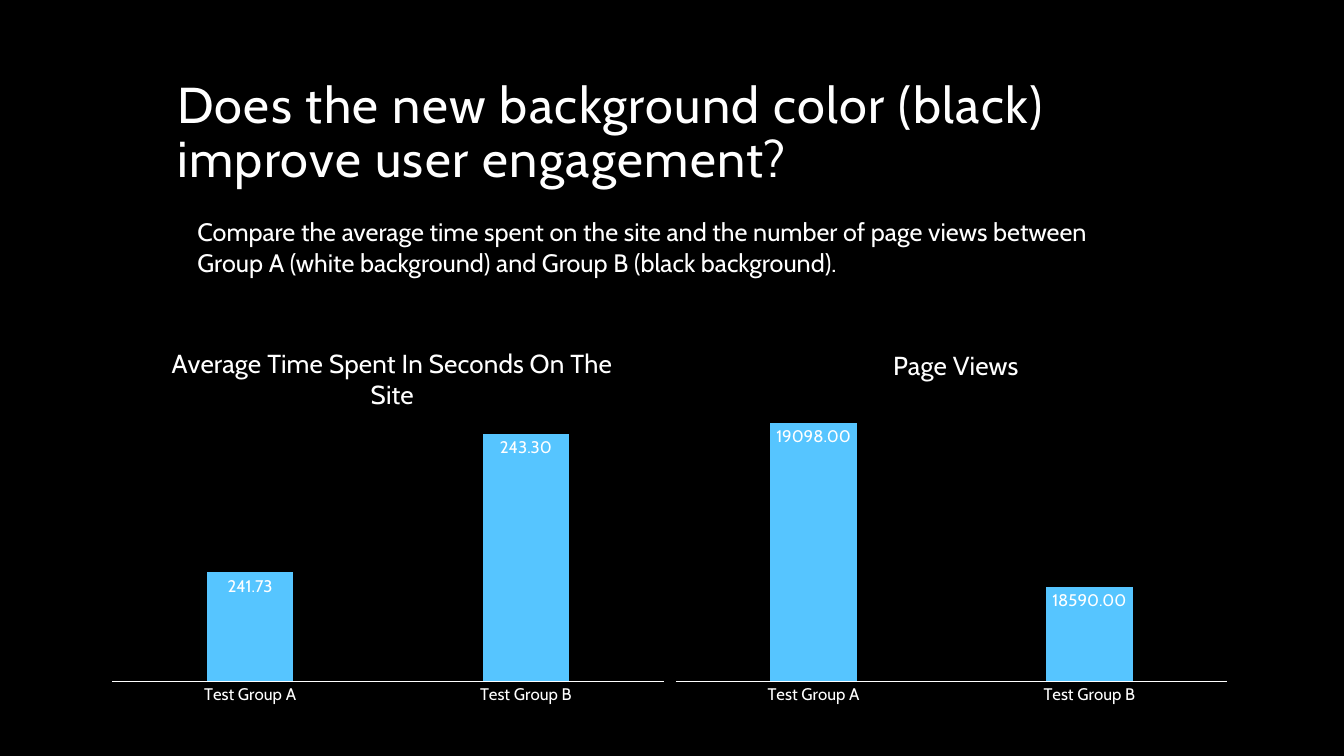
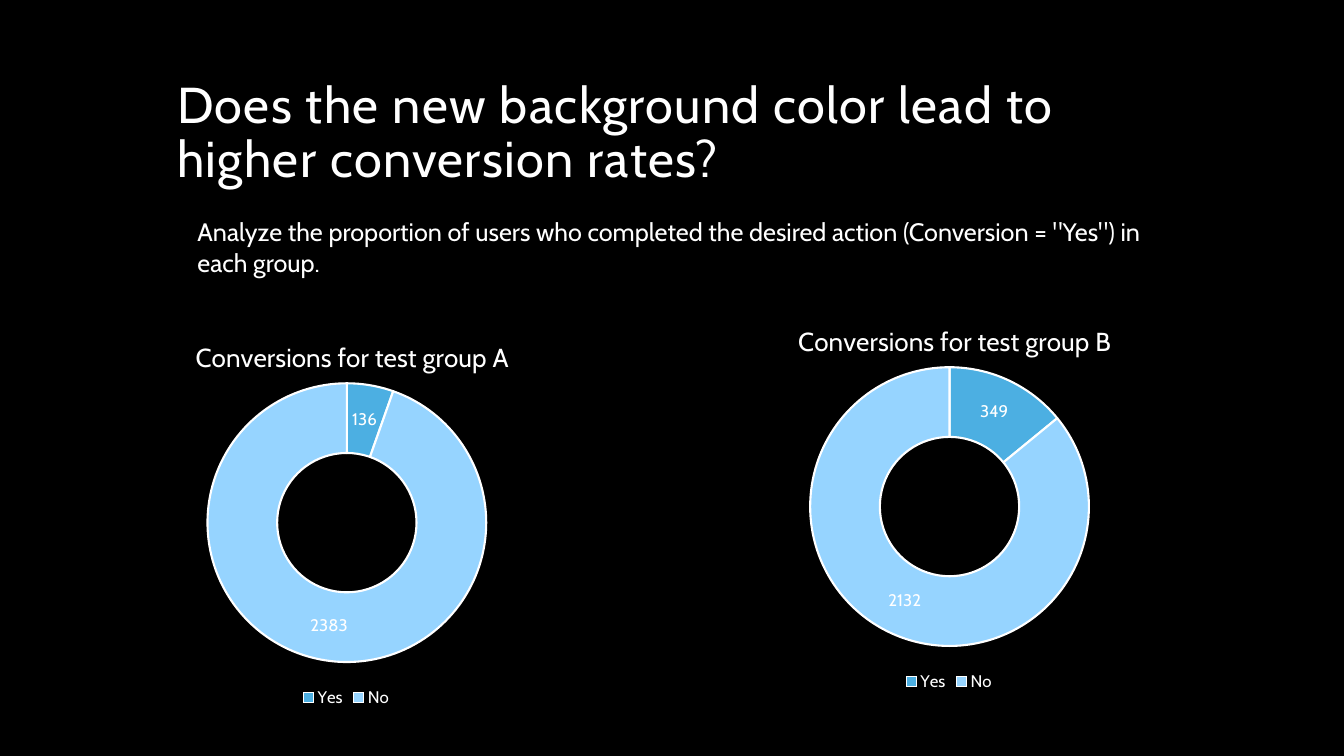
from lxml import etree
from pptx import Presentation
from pptx import util as u
from pptx.chart import data
from pptx.dml import color
from pptx.enum import chart as kinds, text
from pptx.oxml import ns


def rgb(code):
    return color.RGBColor.from_string(code)


class Report:
    """Holds the deck style and the current slide, and adds elements to it."""

    FACE = "Cabin"
    BACK = "000000"
    INK = "FFFFFF"
    BAR = "56C5FF"
    SLICES = ("4CAFE2", "96D4FF")

    def __init__(self):
        self.deck = Presentation()
        self.deck.slide_width = u.Pt(960)
        self.deck.slide_height = u.Pt(540)
        self.page = None

    def start(self, title, lead):
        self.page = self.deck.slides.add_slide(self.deck.slide_layouts[6])
        fill = self.page.background.fill
        fill.solid()
        fill.fore_color.rgb = rgb(self.BACK)
        self.heading(title)
        self.lead(lead)

    def style(self, font, size):
        font.name = self.FACE
        font.size = u.Pt(size)
        font.bold = False
        font.color.rgb = rgb(self.INK)

    def text(self, words, left, top, width, height, size):
        box = self.page.shapes.add_textbox(u.Pt(left), u.Pt(top), u.Pt(width), u.Pt(height))
        box.text_frame.word_wrap = True
        para = box.text_frame.paragraphs[0]
        para.text = words
        self.style(para.font, size)
        return box.text_frame, para

    def heading(self, words):
        frame, para = self.text(words, 119.5, 30.2, 720, 108, 36)
        frame.vertical_anchor = text.MSO_ANCHOR.BOTTOM
        para.line_spacing = 0.9
        para._p.get_or_add_pPr().get_or_add_defRPr().set("spc", "100")

    def lead(self, words):
        frame, _ = self.text(words, 134, 151.2, 692, 51, 18)
        frame.auto_size = text.MSO_AUTO_SIZE.SHAPE_TO_FIT_TEXT

    def place(self, parent, index, **settings):
        layout = parent.find(ns.qn("c:layout"))
        if layout is None:
            layout = etree.Element(ns.qn("c:layout"))
            parent.insert(index, layout)
        manual = etree.SubElement(layout, ns.qn("c:manualLayout"))
        for name, value in settings.items():
            etree.SubElement(manual, ns.qn("c:" + name)).set("val", str(value))

    def chart(self, kind, title, title_at, categories, values, frame, plot, number_format):
        source = data.CategoryChartData()
        source.categories = categories
        source.add_series("Series 1", values)
        chart = self.page.shapes.add_chart(kind, *map(u.Pt, frame), source).chart
        self.style(chart.font, 10)
        chart.has_title = True
        para = chart.chart_title.text_frame.paragraphs[0]
        para.text = title
        self.style(para.font, 18.6)
        edges = {"xMode": "edge", "yMode": "edge"}
        self.place(chart.chart_title._element, 1, **edges, **dict(zip("xy", title_at)))
        self.place(chart._chartSpace.chart.plotArea, 0, layoutTarget="inner",
                   **edges, **dict(zip("xywh", plot)))
        area = chart.plots[0]
        area.has_data_labels = True
        labels = area.data_labels
        labels.show_value = True
        labels.show_percentage = False
        labels.number_format = number_format
        labels.number_format_is_linked = False
        self.style(labels.font, 12)
        return chart, area

    def columns(self, title, title_at, values, left, plot_top, low, high):
        plot = (0.02, plot_top, 0.96, round(0.92 - plot_top, 3))
        chart, area = self.chart(
            kinds.XL_CHART_TYPE.COLUMN_CLUSTERED, title, title_at,
            ("Test Group A", "Test Group B"), values,
            (left, 230.4, 410.4, 278.6), plot, "0.00")
        chart.has_legend = False
        area.vary_by_categories = False
        area.gap_width = 219
        area.overlap = -27
        area.data_labels.position = kinds.XL_LABEL_POSITION.INSIDE_END
        fill = area.series[0].format.fill
        fill.solid()
        fill.fore_color.rgb = rgb(self.BAR)
        scale = chart.value_axis
        scale.minimum_scale, scale.maximum_scale = low, high
        scale.has_major_gridlines = False
        scale.visible = False
        groups = chart.category_axis
        groups.major_tick_mark = kinds.XL_TICK_MARK.NONE
        groups.format.line.color.rgb = rgb(self.INK)
        groups.format.line.width = u.Pt(0.75)
        self.style(groups.tick_labels.font, 12)

    def doughnut(self, title, values, left, top):
        chart, area = self.chart(
            kinds.XL_CHART_TYPE.DOUGHNUT, title, (0.22, 0.05), ("Yes", "No"), values,
            (left, top, 396.7, 283.7), (0.25, 0.173, 0.502, 0.703), "0")
        area._element.find(ns.qn("c:holeSize")).set("val", "75")
        for index, code in enumerate(self.SLICES):
            look = area.series[0].points[index].format
            look.fill.solid()
            look.fill.fore_color.rgb = rgb(code)
            look.line.color.rgb = rgb(self.INK)
            look.line.width = u.Pt(1.5)
        chart.has_legend = True
        chart.legend.position = kinds.XL_LEGEND_POSITION.BOTTOM
        chart.legend.include_in_layout = False
        self.style(chart.legend.font, 12)


def main():
    report = Report()
    report.start(
        "Does the new background color (black) improve user engagement?",
        "Compare the average time spent on the site and the number of page views between "
        "Group A (white background) and Group B (black background).")
    report.columns("Average Time Spent In Seconds On The Site", (0.115, 0.045),
                   (241.73, 243.3), 72, 0.24, 240.5, 243.5)
    report.columns("Page Views", (0.39, 0.05), (19098, 18590), 474.5, 0.255, 18300, 19100)

    report.start(
        "Does the new background color lead to higher conversion rates?",
        "Analyze the proportion of users who completed the desired action "
        "(Conversion = \"Yes\") in each group.")
    report.doughnut("Conversions for test group A", (136, 2383), 49, 224.6)
    report.doughnut("Conversions for test group B", (349, 2132), 479.5, 213.1)
    report.deck.save("out.pptx")


if __name__ == "__main__":
    main()
